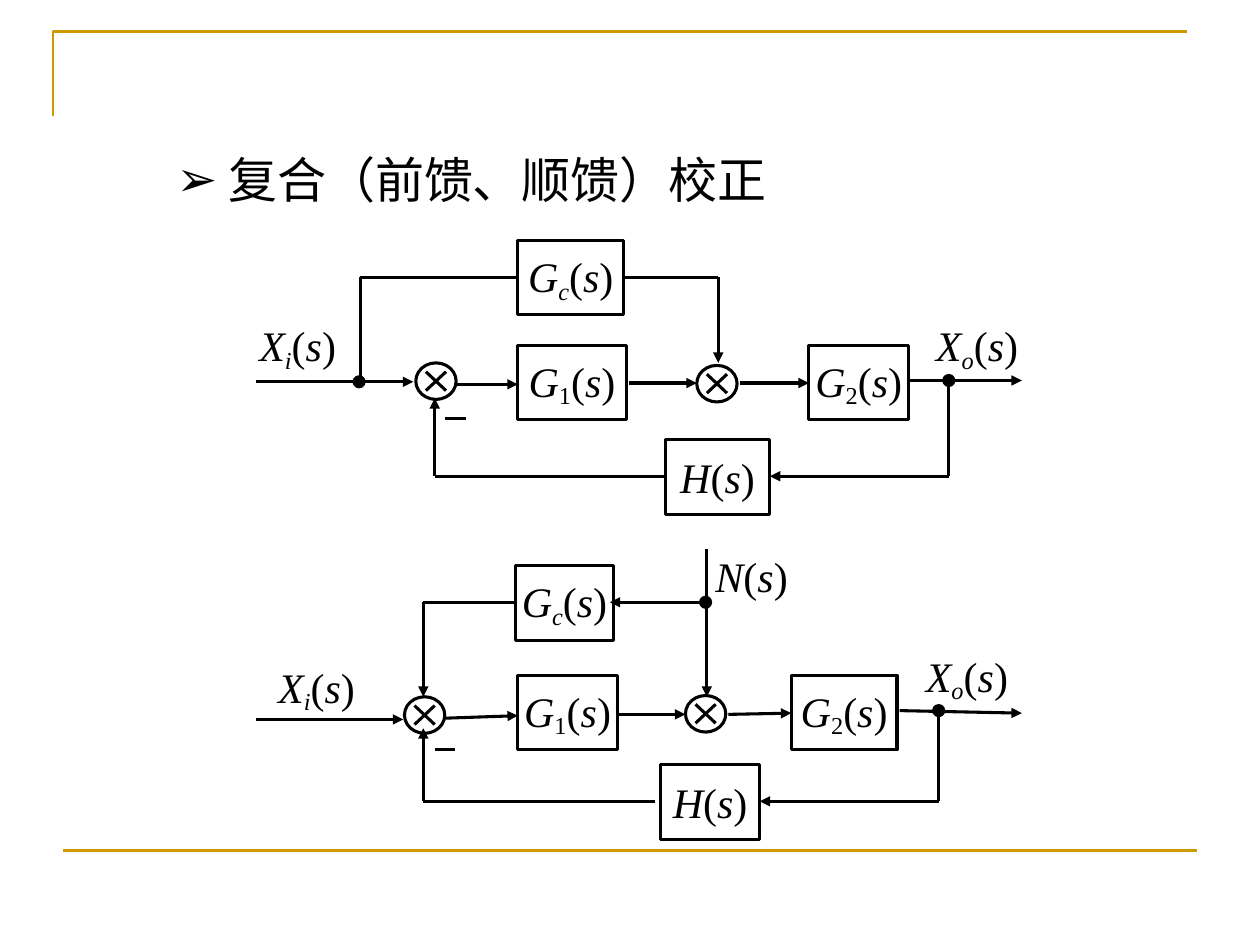
from lxml import etree
from pptx import Presentation
from pptx.dml.color import RGBColor
from pptx.enum import shapes, text
from pptx.oxml import ns
from pptx.util import Pt

PX = 9144  # EMU per px, 100 px to the inch
COLORS = {"ink": "000000", "rule": "CC9900"}
INK = RGBColor.from_string(COLORS["ink"])
RULE = RGBColor.from_string(COLORS["rule"])


def write(frame, content, size=24, align=text.PP_ALIGN.LEFT,
          anchor=text.MSO_ANCHOR.TOP, wrap=False, grow=True):
    """Fill a frame; "|" parts spans, "_" lowers one, single words are italic."""
    frame.word_wrap = wrap
    frame.vertical_anchor = anchor
    frame.auto_size = (text.MSO_AUTO_SIZE.SHAPE_TO_FIT_TEXT if grow
                       else text.MSO_AUTO_SIZE.NONE)
    para = frame.paragraphs[0]
    para.alignment = align
    for piece in content.split("|"):
        span = para.add_run()
        span.text = piece.lstrip("_")
        span.font.name = "Times New Roman"
        span.font.size = Pt(size)
        span.font.italic = span.text.isalpha()
        span.font.color.rgb = INK
        if piece.startswith("_"):
            span._r.get_or_add_rPr().set("baseline", "-18000")
    return para


def wire(x1, y1, x2, y2, arrow=False, color=INK, width=1.75):
    line = page.shapes.add_connector(shapes.MSO_CONNECTOR.STRAIGHT,
                                     x1 * PX, y1 * PX, x2 * PX, y2 * PX)
    line.line.color.rgb = color
    line.line.width = Pt(width)
    if arrow:
        etree.SubElement(line.line._get_or_add_ln(), ns.qn("a:tailEnd"), type="triangle")
    etree.SubElement(line._element.spPr, ns.qn("a:effectLst"))


deck = Presentation()
deck.slide_width, deck.slide_height = 1000 * PX, 750 * PX
page = deck.slides.add_slide(deck.slide_layouts[1])
title, body = page.placeholders
title._element.getparent().remove(title._element)

# Gold frame: corner at the top, rule at the bottom
builder = page.shapes.build_freeform(42, 92, scale=PX)
builder.add_line_segments([(42, 25), (942, 25)], close=False)
corner = builder.convert_to_shape()
corner.shadow.inherit = False
corner.fill.background()
corner.line.color.rgb = RULE
corner.line.width = Pt(1.5)
wire(50, 675, 950, 675, color=RULE, width=1.5)

# Bulleted heading
body.left, body.top, body.width, body.height = [n * PX for n in (130, 107, 767, 64)]
heading = write(body.text_frame, " 复合（前馈、顺馈）校正", size=28, wrap=True)
props = heading._p.get_or_add_pPr()
props.set("marL", "0")
props.set("indent", "0")
etree.SubElement(props, ns.qn("a:buChar"), char="➢")
heading.line_spacing = 1.15
heading.space_before = Pt(0)

# Transfer function blocks: left, top, width, formula
BLOCKS = [
    # input feedforward
    (411, 191, 84, "G|_c|(|s|)"), (411, 274, 86, "G|_1|(|s|)"),
    (642, 274, 79, "G|_2|(|s|)"), (528, 349, 83, "H|(|s|)"),
    # disturbance feedforward
    (409, 449, 78, "G|_c|(|s|)"), (411, 536, 79, "G|_1|(|s|)"),
    (628, 536, 84, "G|_2|(|s|)"), (524, 607, 79, "H|(|s|)"),
]
for left, top, width, formula in BLOCKS:
    block = page.shapes.add_shape(shapes.MSO_SHAPE.RECTANGLE,
                                  left * PX, top * PX, width * PX, 59 * PX)
    block.shadow.inherit = False
    block.fill.background()
    block.line.color.rgb = INK
    block.line.width = Pt(1.75)
    write(block.text_frame, formula, align=text.PP_ALIGN.CENTER,
          anchor=text.MSO_ANCHOR.MIDDLE, grow=False)

# Signal names: left, top, width, formula
SIGNALS = [
    (196, 249, 82, "X|_i|(|s|)"), (733, 249, 87, "X|_o|(|s|)"),
    (211, 520, 82, "X|_i|(|s|)"), (725, 511, 87, "X|_o|(|s|)"),
    (558, 432, 78, "N|(|s|)"),
]
for left, top, width, formula in SIGNALS:
    label = page.shapes.add_textbox(left * PX, top * PX, width * PX, 50 * PX)
    write(label.text_frame, formula)

# Summing junctions (crossed circles) and branch points (dots)
JUNCTIONS = [(330, 288), (553, 290), (321, 553), (544, 552)]
BRANCHES = [(281, 299), (749, 298), (741, 560), (556, 474)]
for left, top in JUNCTIONS + BRANCHES:
    crossed = (left, top) in JUNCTIONS
    width, height = (32, 29) if crossed else (8, 8)
    node = page.shapes.add_shape(shapes.MSO_SHAPE.OVAL,
                                 left * PX, top * PX, width * PX, height * PX)
    node.shadow.inherit = False
    node.line.color.rgb = INK
    node.line.width = Pt(1.75)
    if crossed:
        node.fill.background()
        wire(left + 8, top + 7, left + 24, top + 22)
        wire(left + 24, top + 7, left + 8, top + 22)
    else:
        node.fill.solid()
        node.fill.fore_color.rgb = INK

# Signal flow with arrowheads
ARROWS = [
    # input feedforward
    (203, 303, 328, 303), (361, 305, 411, 305), (499, 304, 553, 304),
    (587, 304, 642, 304), (722, 302, 811, 302), (570, 220, 570, 288),
    (753, 378, 611, 378), (345, 378, 345, 316),
    # disturbance feedforward
    (203, 571, 320, 571), (353, 570, 411, 568), (491, 567, 544, 567),
    (578, 567, 628, 566), (714, 564, 811, 566), (561, 436, 561, 553),
    (559, 478, 484, 478), (336, 478, 336, 553), (745, 636, 603, 636),
    (336, 636, 336, 578),
]
for ends in ARROWS:
    wire(*ends, arrow=True)

# Plain wires, with the minus signs at the feedback inputs
PLAIN = [
    (286, 303, 286, 220), (286, 220, 411, 220), (495, 220, 570, 220),
    (753, 299, 753, 378), (528, 378, 345, 378), (353, 332, 370, 332),
    (409, 478, 336, 478), (745, 561, 745, 636), (520, 636, 336, 636),
    (345, 595, 361, 595),
]
for ends in PLAIN:
    wire(*ends)

deck.save("out.pptx")
